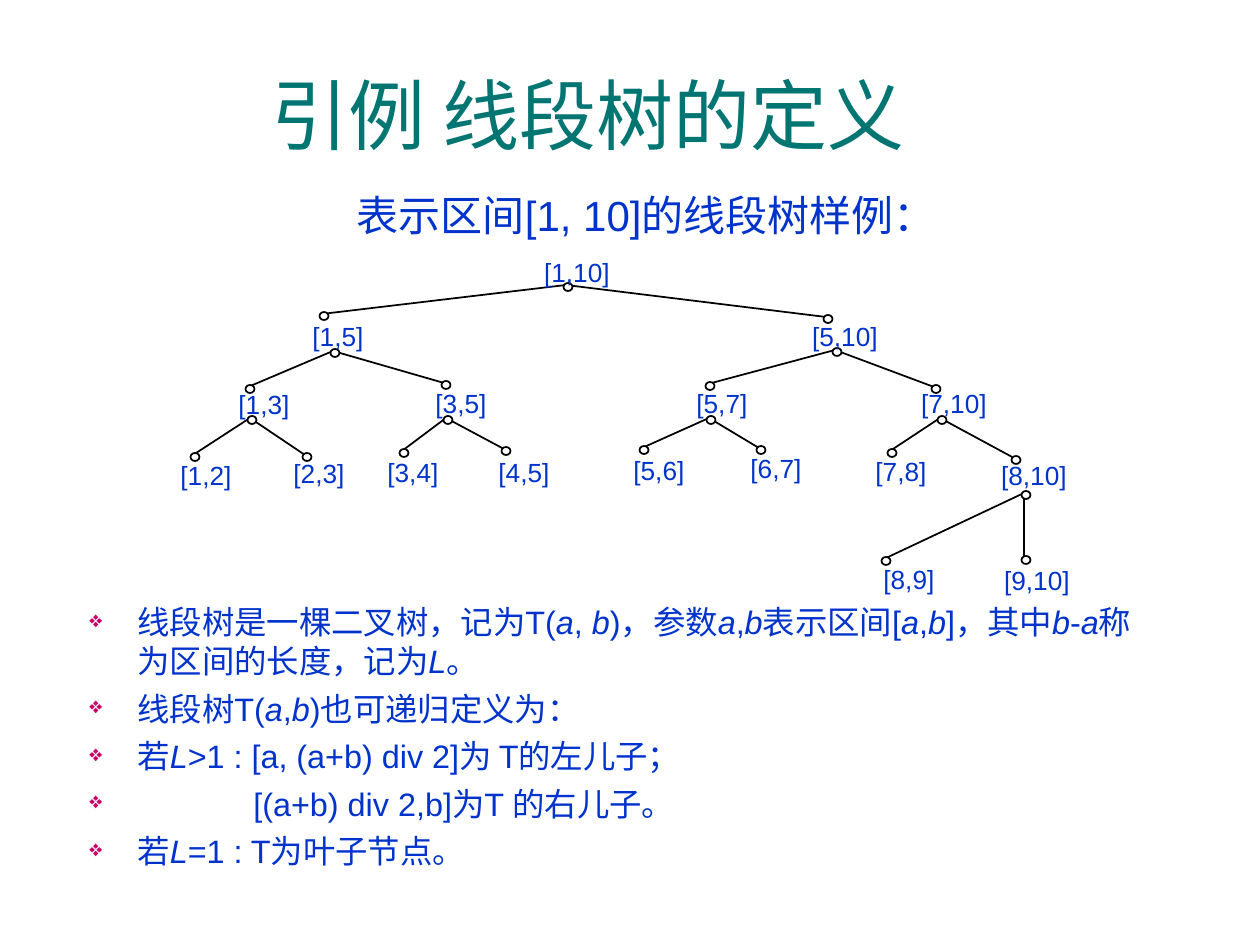
import lxml.etree
import pptx
import pptx.dml.color
import pptx.enum.shapes
import pptx.enum.text
import pptx.oxml.ns
import pptx.util

EMU_PER_PX = 914400 / 126
TEAL, BLUE, PINK, INK, WHITE = "007572", "0033CC", "CC0066", "010101", "FFFFFF"
DOT_WIDTH, DOT_HEIGHT = 9, 8
LABEL_HEIGHT = 32
EDGE_SHIFT = 2
BULLET_INDENT = 48

# interval: (parent, label centre and top, upper dot centre, lower dot centre)
TREE = {
    "[1,10]": (None, (577, 256), None, (568, 287)),
    "[1,5]": ("[1,10]", (338, 320), (324, 316), (335, 353)),
    "[5,10]": ("[1,10]", (845, 320), (828, 319), (837, 352)),
    "[1,3]": ("[1,5]", (264, 388), (250, 389), (252, 420)),
    "[3,5]": ("[1,5]", (461, 387), (446, 385), (448, 420)),
    "[5,7]": ("[5,10]", (722, 387), (710, 386), (711, 420)),
    "[7,10]": ("[5,10]", (954, 387), (936, 389), (942, 420)),
    "[1,2]": ("[1,3]", (206, 459), (195, 457), None),
    "[2,3]": ("[1,3]", (319, 457), (307, 457), None),
    "[3,4]": ("[3,5]", (413, 456), (404, 453), None),
    "[4,5]": ("[3,5]", (524, 456), (506, 451), None),
    "[5,6]": ("[5,7]", (659, 454), (644, 450), None),
    "[6,7]": ("[5,7]", (776, 452), (761, 450), None),
    "[7,8]": ("[7,10]", (901, 455), (892, 453), None),
    "[8,10]": ("[7,10]", (1034, 459), (1016, 460), (1026, 495)),
    "[8,9]": ("[8,10]", (909, 563), (886, 561), None),
    "[9,10]": ("[8,10]", (1037, 564), (1026, 560), None),
}

# (text with *italic* parts, left margin)
DEFINITION = [
    ("线段树是一棵二叉树，记为T(*a*, *b*)，参数*a*,*b*表示区间[*a*,*b*]，其中*b*-*a*"
     "称为区间的长度，记为*L*。", BULLET_INDENT),
    ("线段树T(*a*,*b*)也可递归定义为：", BULLET_INDENT),
    ("若*L*>1 : [a, (a+b) div 2]为 T的左儿子；", BULLET_INDENT),
    ("[(a+b) div 2,b]为T 的右儿子。", 164),
    ("若*L*=1 : T为叶子节点。", BULLET_INDENT),
]


def px(length):
    return pptx.util.Emu(round(length * EMU_PER_PX))


def colour(value):
    return pptx.dml.color.RGBColor.from_string(value)


def place(shape, left, top, width, height):
    shape.left, shape.top = px(left), px(top)
    shape.width, shape.height = px(width), px(height)


def set_font(para, size, value):
    para.font.name = "Arial"
    para.font.size = pptx.util.Pt(size)
    para.font.color.rgb = colour(value)


def set_centred(frame, text, size, value):
    """Fill a text frame with one centred paragraph."""
    frame.text = text
    frame.vertical_anchor = pptx.enum.text.MSO_ANCHOR.MIDDLE
    para = frame.paragraphs[0]
    para.alignment = pptx.enum.text.PP_ALIGN.CENTER
    set_font(para, size, value)


def set_bullet(para, margin):
    """Hang a small diamond bullet at the left edge of the box."""
    properties = para._p.get_or_add_pPr()
    properties.set("marL", str(px(margin)))
    properties.set("indent", str(-px(margin)))
    qn = pptx.oxml.ns.qn
    bullet_colour = lxml.etree.SubElement(properties, qn("a:buClr"))
    lxml.etree.SubElement(bullet_colour, qn("a:srgbClr"), val=PINK)
    lxml.etree.SubElement(properties, qn("a:buSzPct"), val="70000")
    lxml.etree.SubElement(properties, qn("a:buChar"), char="❖")


def add_definition(page):
    box = page.shapes.add_textbox(px(77), px(596), px(1089), px(294))
    frame = box.text_frame
    frame.word_wrap = True
    for index, (text, margin) in enumerate(DEFINITION):
        para = frame.add_paragraph() if index else frame.paragraphs[0]
        para.space_before = pptx.util.Pt(5)
        set_bullet(para, margin)
        set_font(para, 18.5, BLUE)
        for position, part in enumerate(text.split("*")):
            span = para.add_run()
            span.text = part
            if position % 2:
                span.font.italic = True


def add_edge(group, start, end):
    ends = [px(value - EDGE_SHIFT) for value in (*start, *end)]
    edge = group.shapes.add_connector(
        pptx.enum.shapes.MSO_CONNECTOR.STRAIGHT, *ends)
    edge.line.color.rgb = colour(INK)
    edge.line.width = pptx.util.Pt(1)
    lxml.etree.SubElement(edge._element.spPr, pptx.oxml.ns.qn("a:effectLst"))


def add_dot(group, centre):
    x, y = centre
    dot = group.shapes.add_shape(
        pptx.enum.shapes.MSO_SHAPE.OVAL, px(x - DOT_WIDTH / 2),
        px(y - DOT_HEIGHT / 2), px(DOT_WIDTH), px(DOT_HEIGHT))
    dot.shadow.inherit = False
    dot.fill.solid()
    dot.fill.fore_color.rgb = colour(WHITE)
    dot.line.color.rgb = colour(INK)
    dot.line.width = pptx.util.Pt(1)


def add_label(group, text, centre, top):
    width = 66 if len(text) > 5 else 52
    box = group.shapes.add_textbox(
        px(centre - width / 2), px(top), px(width), px(LABEL_HEIGHT))
    frame = box.text_frame
    frame.margin_left = frame.margin_right = 0
    frame.margin_top = frame.margin_bottom = 0
    frame.word_wrap = False
    frame.auto_size = pptx.enum.text.MSO_AUTO_SIZE.SHAPE_TO_FIT_TEXT
    set_centred(frame, text, 15, BLUE)
    frame.vertical_anchor = pptx.enum.text.MSO_ANCHOR.TOP


def add_tree(page):
    group = page.shapes.add_group_shape()
    for parent, _, upper, _ in TREE.values():
        if parent:
            add_edge(group, TREE[parent][3], upper)
    for _, _, upper, lower in TREE.values():
        for centre in filter(None, (upper, lower)):
            add_dot(group, centre)
    for text, (_, (centre, top), _, _) in TREE.items():
        add_label(group, text, centre, top)


def main():
    deck = pptx.Presentation()
    deck.slide_width, deck.slide_height = px(1260), px(945)
    page = deck.slides.add_slide(deck.slide_layouts[5])

    title = page.shapes.title
    place(title, 0, 35, 1177, 158)
    title.text_frame.auto_size = pptx.enum.text.MSO_AUTO_SIZE.NONE
    set_centred(title.text_frame, "引例 线段树的定义", 44, TEAL)

    add_definition(page)
    caption = page.shapes.add_textbox(px(74), px(165), px(1154), px(100))
    caption.text_frame.word_wrap = True
    set_centred(caption.text_frame, "表示区间[1, 10]的线段树样例： ", 24, BLUE)
    add_tree(page)
    deck.save("out.pptx")


if __name__ == "__main__":
    main()
